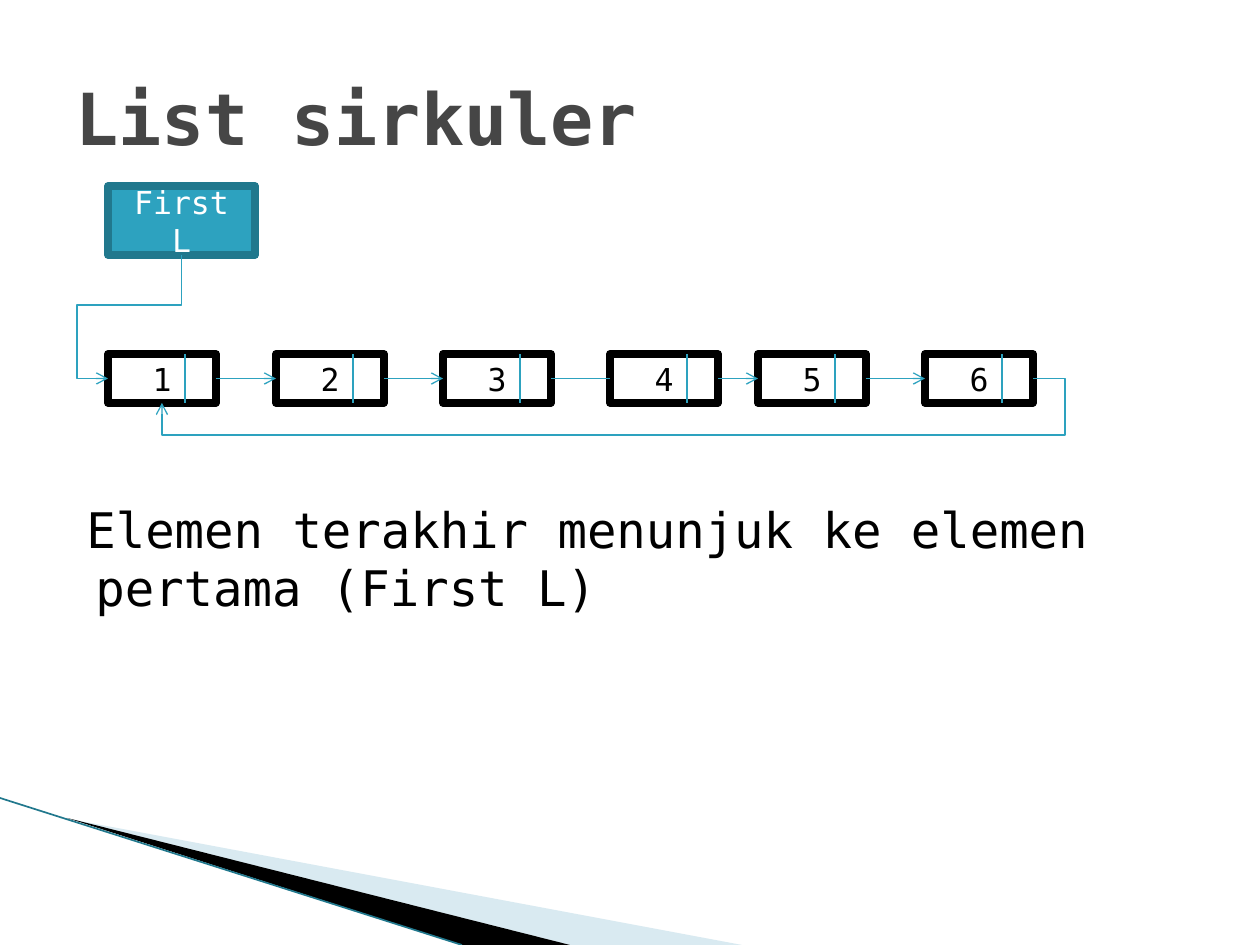
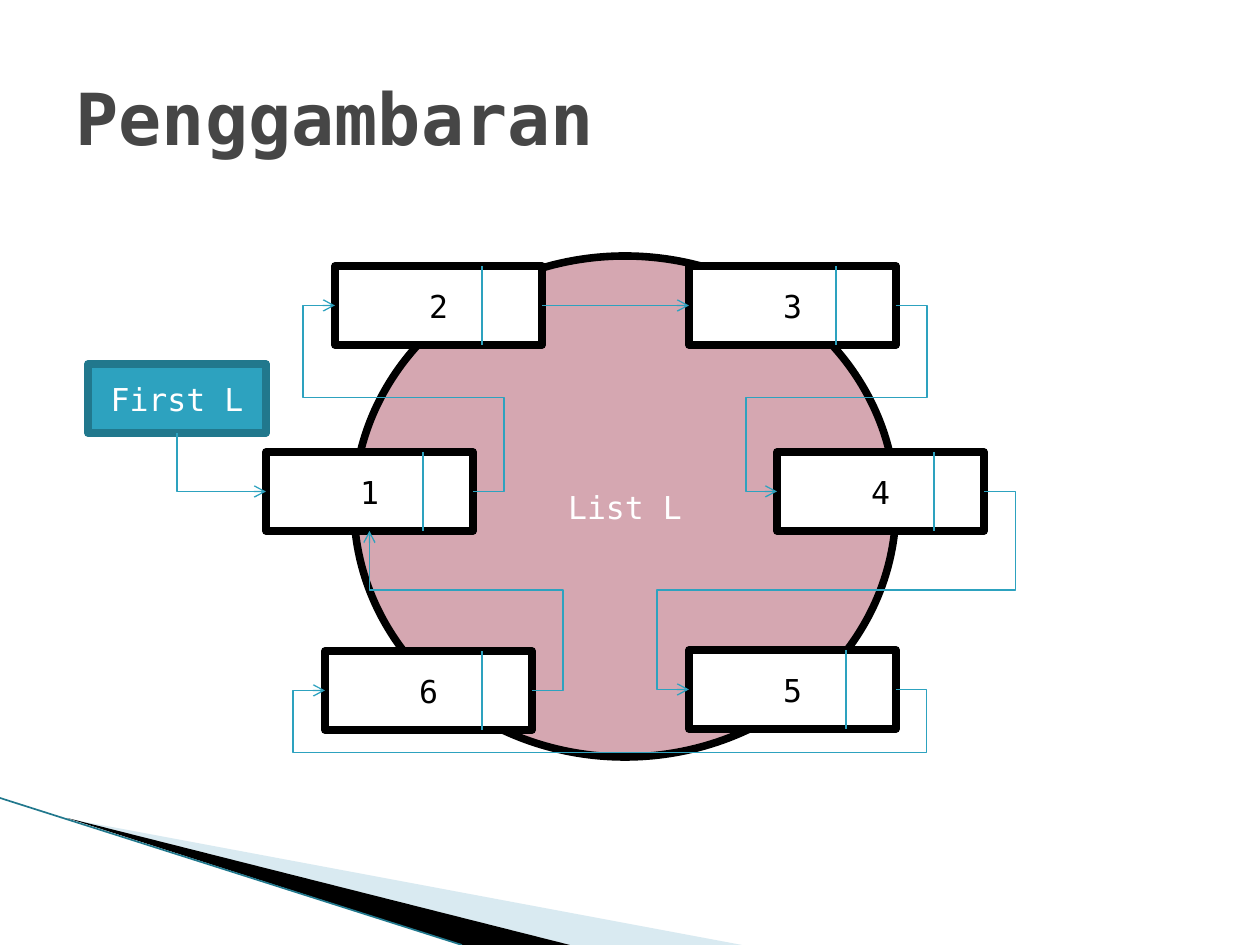
from pptx import Presentation
from pptx.dml.color import RGBColor
from pptx.enum.shapes import MSO_CONNECTOR as Link, MSO_SHAPE as Preset
from pptx.enum.text import MSO_ANCHOR as Anchor, MSO_AUTO_SIZE as AutoSize, PP_ALIGN as Align
from pptx.oxml.ns import qn
from pptx.util import Pt
from lxml.etree import SubElement

PX = 914400 / 126
WIDTH, HEIGHT = 1260, 945
FONT = "DejaVu Sans Mono"
TEAL, DARK_TEAL, PALE_BLUE = "2DA2BF", "21788D", "A0CBDC"
BLACK, WHITE, GREY, ROSE = "000000", "FFFFFF", "464646", "D5A7B1"
TOP, LEFT, BOTTOM, RIGHT = range(4)


def px(*lengths):
    return [round(length * PX) for length in lengths]


def color(value):
    return RGBColor.from_string(value)


def set_font(para, size, ink, bold=False):
    para.font.name = FONT
    para.font.size = Pt(size)
    para.font.bold = bold
    para.font.color.rgb = color(ink)


def add_box(page, text, place, fill=WHITE, border=BLACK, ink=BLACK, preset=Preset.RECTANGLE):
    box = page.shapes.add_shape(preset, *px(*place))
    box.shadow.inherit = False
    box.fill.solid()
    box.fill.fore_color.rgb = color(fill)
    box.line.color.rgb = color(border)
    box.line.width = Pt(4.33)
    SubElement(box.element.spPr.find(qn("a:ln")), qn("a:round"))
    frame = box.text_frame
    frame.word_wrap = True
    frame.vertical_anchor = Anchor.MIDDLE
    para = frame.paragraphs[0]
    para.text = text
    para.alignment = Align.CENTER
    set_font(para, 18, ink)
    return box


def add_pointer(page, place):
    return add_box(page, "First L", place, TEAL, DARK_TEAL, WHITE)


def add_node(page, number, place, divider):
    """Draw a list element whose last field starts at the divider offset."""
    left, top, _, height = place
    node = add_box(page, str(number), place)
    add_line(page, (left + divider, top), (left + divider, top + height))
    return node


def style_line(line, arrow, ink=TEAL, width=0.75):
    line.line.color.rgb = color(ink)
    line.line.width = Pt(width)
    properties = line.element.spPr
    SubElement(properties, qn("a:effectLst"))
    if arrow:
        SubElement(properties.find(qn("a:ln")), qn("a:tailEnd"), type="arrow")


def add_line(page, start, end, **style):
    line = page.shapes.add_connector(Link.STRAIGHT, *px(*start, *end))
    style_line(line, False, **style)


def join(page, kind, source, target, exit_side, entry_side, arrow=True):
    line = page.shapes.add_connector(kind, 0, 0, 0, 0)
    line.begin_connect(source, exit_side)
    line.end_connect(target, entry_side)
    style_line(line, arrow)
    return line


def join_straight(page, source, target, arrow=True):
    join(page, Link.STRAIGHT, source, target, RIGHT, LEFT, arrow)


def join_bent(page, source, target, *bends, exit_side=RIGHT, entry_side=LEFT):
    """Join with an elbow; bends are its x and y positions in turn, as the path meets them."""
    line = join(page, Link.ELBOW, source, target, exit_side, entry_side)
    start = line.begin_x, line.begin_y
    end = line.end_x, line.end_y
    downward = exit_side == BOTTOM
    geometry = line.element.spPr.find(qn("a:prstGeom"))
    geometry.set("prst", f"bentConnector{len(bends) + 2}")
    guides = geometry.find(qn("a:avLst"))
    for index, bend in enumerate(bends):
        axis = (index + downward) % 2
        share = (px(bend)[0] - start[axis]) / (end[axis] - start[axis])
        SubElement(guides, qn("a:gd"), name=f"adj{index + 1}", fmla=f"val {round(share * 100000)}")
    if downward:
        turn_downward(line, start, end)


def turn_downward(line, start, end):
    """Rotate an elbow so that its first stretch runs down."""
    across, down = end[0] - start[0], end[1] - start[1]
    line.width, line.height = down, abs(across)
    line.left = (start[0] + end[0] - down) // 2
    line.top = (start[1] + end[1] - abs(across)) // 2
    transform = line.element.spPr.find(qn("a:xfrm"))
    transform.attrib.pop("flipH", None)
    transform.set("rot", "5400000" if across < 0 else "16200000")
    if across > 0:
        transform.set("flipH", "1")


def add_wedge(page, points, fill, opacity=100):
    first, *others = [px(*point) for point in points]
    builder = page.shapes.build_freeform(*first)
    builder.add_line_segments(others)
    wedge = builder.convert_to_shape()
    wedge.shadow.inherit = False
    wedge.fill.solid()
    wedge.fill.fore_color.rgb = color(fill)
    wedge.line.fill.background()
    if opacity < 100:
        shade = wedge.element.spPr.find(qn("a:solidFill"))[0]
        SubElement(shade, qn("a:alpha"), val=str(opacity * 1000))


def add_page(deck, title):
    page = deck.slides.add_slide(deck.slide_layouts[5])
    add_wedge(page, [(69, 819), (742, HEIGHT), (570, HEIGHT)], PALE_BLUE, 40)
    add_wedge(page, [(67, 818), (570, HEIGHT), (462, HEIGHT)], BLACK)
    add_line(page, (0, 798), (462, HEIGHT), ink=DARK_TEAL, width=0.95)
    holder = page.shapes.title
    holder.left, holder.top, holder.width, holder.height = px(63, 38, 1134, 157)
    frame = holder.text_frame
    frame.auto_size = AutoSize.NONE
    frame.vertical_anchor = Anchor.MIDDLE
    para = frame.paragraphs[0]
    para.text = title
    para.alignment = Align.LEFT
    set_font(para, 41, GREY, bold=True)
    return page


def add_body(page, text, place):
    frame = page.shapes.add_textbox(*px(*place)).text_frame
    frame.word_wrap = True
    para = frame.paragraphs[0]
    para.text = text
    indents = para._p.get_or_add_pPr()
    for name, length in (("marL", 24), ("indent", -9)):
        indents.set(name, str(px(length)[0]))
    set_font(para, 28, BLACK)


def add_chain(page, left, top):
    """Draw the circular list in a row below its pointer."""
    first = add_pointer(page, (left, top, 147, 69))
    offsets = [0, 168, 335, 502, 650, 817]
    nodes = [add_node(page, number, (left + offset, top + 168, 108, 49), 77)
             for number, offset in enumerate(offsets, 1)]
    for number, (source, target) in enumerate(zip(nodes, nodes[1:]), 1):
        join_straight(page, source, target, arrow=number != 3)
    join_bent(page, first, nodes[0], top + 119, left - 31, exit_side=BOTTOM)
    join_bent(page, nodes[-1], nodes[0], left + 957, top + 249, entry_side=BOTTOM)


def add_ring(page, left, top):
    """Draw the circular list around an ellipse."""
    add_box(page, "List L", (left, top, 542, 501), ROSE, ink=WHITE, preset=Preset.OVAL)
    spots = [(-88, 196, 157), (-19, 10, 147), (335, 10, 147),
             (423, 196, 157), (335, 394, 157), (-29, 395, 157)]
    one, two, three, four, five, six = [
        add_node(page, number, (left + x, top + y, 207, 79), divider)
        for number, (x, y, divider) in enumerate(spots, 1)]
    first = add_pointer(page, (left - 266, top + 108, 178, 69))
    join_bent(page, first, one, exit_side=BOTTOM)
    join_bent(page, one, two, left + 150, top + 142, left - 51)
    join_straight(page, two, three)
    join_bent(page, three, four, left + 573, top + 142, left + 392)
    join_bent(page, four, five, left + 662, top + 334, left + 303)
    join_bent(page, five, six, left + 573, top + 497, left - 61)
    join_bent(page, six, one, left + 209, top + 334, entry_side=BOTTOM)


def main():
    deck = Presentation()
    deck.slide_width, deck.slide_height = px(WIDTH, HEIGHT)

    page = add_page(deck, "List sirkuler")
    add_body(page, "Elemen terakhir menunjuk ke elemen pertama (First L)", (59, 493, 1138, 351))
    add_chain(page, 108, 186)

    page = add_page(deck, "Penggambaran")
    add_ring(page, 354, 256)

    deck.save("out.pptx")


if __name__ == "__main__":
    main()
